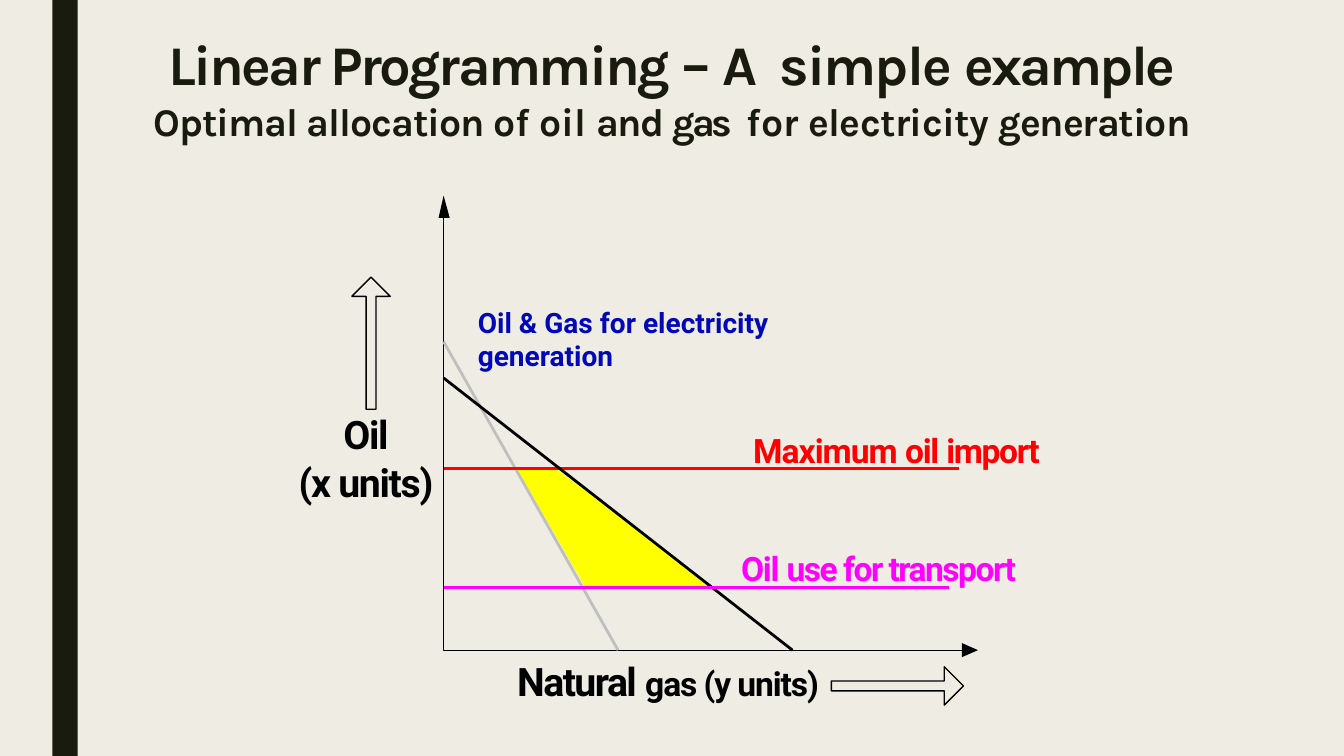
from pptx import Presentation
from pptx.dml.color import RGBColor
from pptx.enum.shapes import MSO_CONNECTOR, MSO_SHAPE
from pptx.enum.text import MSO_ANCHOR, MSO_AUTO_SIZE, PP_ALIGN
from pptx.oxml.ns import qn
from pptx.util import Inches, Pt
from lxml import etree

COLORS = {
    "background": "EFEDE3",
    "dark": "191B0E",
    "black": "000000",
    "feasible": "FFFF00",
    "gas": "BFBFBF",
    "import": "FF0000",
    "transport": "FF00FF",
    "electricity": "0008B8",
}

# Chart geometry, in inches
ORIGIN_X, ORIGIN_Y = 4.4, 6.45
IMPORT_Y, TRANSPORT_Y = 4.65, 5.83


def color(name):
    return RGBColor.from_string(COLORS[name])


def paint(shape, fill=None, line=None, width=1):
    """Give a shape its fill and outline; None leaves it without."""
    shape.shadow.inherit = False
    if fill:
        shape.fill.solid()
        shape.fill.fore_color.rgb = color(fill)
    else:
        shape.fill.background()
    if line:
        shape.line.color.rgb = color(line)
        shape.line.width = Pt(width)
    else:
        shape.line.fill.background()


def add_outline(page, points, close=True, **style):
    corners = [(Inches(x), Inches(y)) for x, y in points]
    builder = page.shapes.build_freeform(*corners[0], scale=1.0)
    builder.add_line_segments(corners[1:], close=close)
    paint(builder.convert_to_shape(), **style)


def add_line(page, start, end, name):
    line = page.shapes.add_connector(
        MSO_CONNECTOR.STRAIGHT, *[Inches(value) for value in start + end])
    line.line.color.rgb = color(name)
    line.line.width = Pt(1.98)
    etree.SubElement(line._element.spPr, qn("a:effectLst"))


def add_block_arrow(page, left, top, rotation=0):
    arrow = page.shapes.add_shape(
        MSO_SHAPE.UP_ARROW, Inches(left), Inches(top), Inches(0.38), Inches(1.31))
    arrow.adjustments[0] = 0.26
    arrow.adjustments[1] = 0.5
    arrow.rotation = rotation
    paint(arrow, fill="background", line="black")


def write_text(box, lines, font, name, align=PP_ALIGN.LEFT, gap=1):
    """Each line is a list of spans: (text, size, letter spacing in points)."""
    frame = box.text_frame
    frame.word_wrap = True
    frame.auto_size = MSO_AUTO_SIZE.NONE
    frame.vertical_anchor = MSO_ANCHOR.TOP
    for index, spans in enumerate(lines):
        para = frame.add_paragraph() if index else frame.paragraphs[0]
        para.alignment = align
        para.space_before = Pt(gap if index else 0)
        for text, size, spacing in spans:
            span = para.add_run()
            span.text = text
            span.font.name = font
            span.font.size = Pt(size)
            span.font.bold = True
            span.font.color.rgb = color(name)
            span._r.get_or_add_rPr().set("spc", str(round(spacing * 100)))


def trim_margins(box):
    frame = box.text_frame
    frame.margin_left = frame.margin_right = frame.margin_bottom = 0
    frame.margin_top = Inches(0.01)


def add_label(page, place, lines, name, align=PP_ALIGN.LEFT, trim=True):
    box = page.shapes.add_textbox(*[Inches(value) for value in place])
    if trim:
        trim_margins(box)
    write_text(box, lines, "Roboto", name, align)


def add_title(page):
    title = page.shapes.title
    title.left, title.top = Inches(0), Inches(0.28)
    title.width, title.height = Inches(13.33), Inches(1.17)
    trim_margins(title)
    write_text(title, [
        [("Linear Programming ", 40, -1.8), ("– ", 40, -2.1), ("A", 40, -3.2),
         (" ", 40, 6), ("simple ", 40, -1.4), ("example", 40, -1.9)],
        [("Optimal allocation ", 28, -0.7), ("of oil ", 28, -0.1),
         ("and ", 28, -1.1), ("gas", 28, -2.4), (" ", 28, 3.4),
         ("for ", 28, -0.1), ("electricity ", 28, -0.4), ("generation", 28, -0.8)],
    ], "Karla", "dark", PP_ALIGN.CENTER, gap=0.7)


def add_graph(page):
    # Feasible region
    add_outline(page, [(5.13, IMPORT_Y), (5.8, 5.81), (7.05, 5.81), (5.51, IMPORT_Y)],
                fill="feasible", line="feasible", width=0.25)

    # Axes with their arrowheads
    add_outline(page, [(ORIGIN_X, 2.16), (ORIGIN_X, ORIGIN_Y), (9.55, ORIGIN_Y)],
                close=False, line="black", width=0.25)
    add_outline(page, [(ORIGIN_X, 1.94), (4.35, 2.16), (4.46, 2.16)], fill="black")
    add_outline(page, [(9.54, 6.38), (9.54, 6.52), (9.7, ORIGIN_Y)], fill="black")

    # Constraints
    add_line(page, (ORIGIN_X, 3.39), (6.13, ORIGIN_Y), "gas")
    add_line(page, (ORIGIN_X, IMPORT_Y), (9.51, IMPORT_Y), "import")
    add_line(page, (ORIGIN_X, 3.75), (7.86, ORIGIN_Y), "black")
    add_line(page, (ORIGIN_X, TRANSPORT_Y), (9.41, TRANSPORT_Y), "transport")


def add_labels(page):
    # Constraint names
    add_label(page, (7.47, 4.25, 3.1, 0.42),
              [[("Maximum ", 24, -0.7), ("oil ", 24, -0.9), ("import", 24, -1)]],
              "import")
    add_label(page, (7.35, 5.43, 3.22, 0.42),
              [[("Oil ", 24, -0.9), ("use for transport", 24, -1.1)]], "transport")
    add_label(page, (4.64, 2.98, 3.22, 0.77),
              [[("Oil & Gas for electricity generation", 20, 0)]],
              "electricity", trim=False)

    # Axis names and directions
    add_label(page, (2.91, 4.06, 1.44, 0.97),
              [[("Oil", 28, -0.9)], [("(x units)", 28, -0.9)]],
              "black", PP_ALIGN.CENTER)
    add_label(page, (5.13, 6.51, 3.32, 0.48),
              [[("Natural", 28, -1.1), (" ", 24, -2), ("gas (y units)", 24, -0.8)]],
              "black")
    add_block_arrow(page, 3.49, 2.75)
    add_block_arrow(page, 8.71, 6.15, rotation=90)


def main():
    deck = Presentation()
    deck.slide_width, deck.slide_height = Inches(13.33), Inches(7.5)
    page = deck.slides.add_slide(deck.slide_layouts[5])
    page.background.fill.solid()
    page.background.fill.fore_color.rgb = color("background")

    # Side band
    band = page.shapes.add_shape(
        MSO_SHAPE.RECTANGLE, Inches(0.52), Inches(0), Inches(0.25), deck.slide_height)
    paint(band, fill="dark")

    add_title(page)
    add_graph(page)
    add_labels(page)
    deck.save("out.pptx")


if __name__ == "__main__":
    main()
